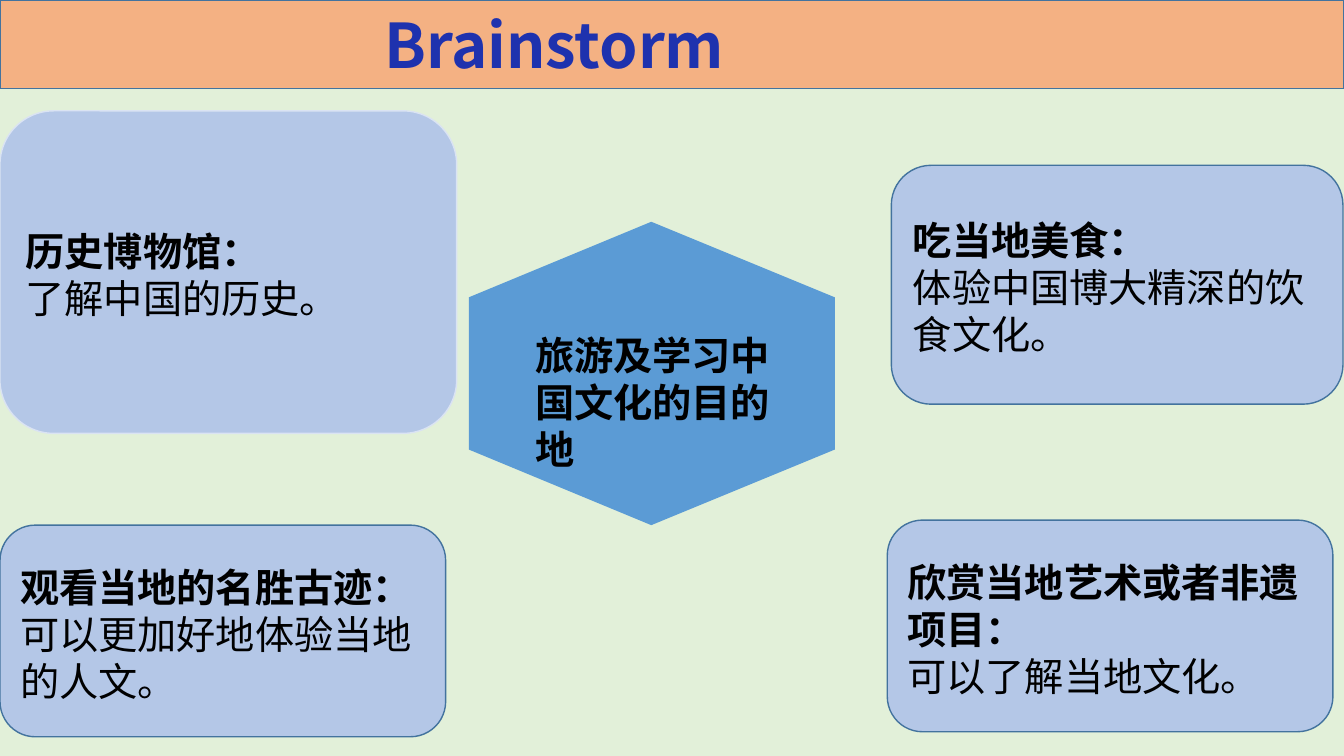
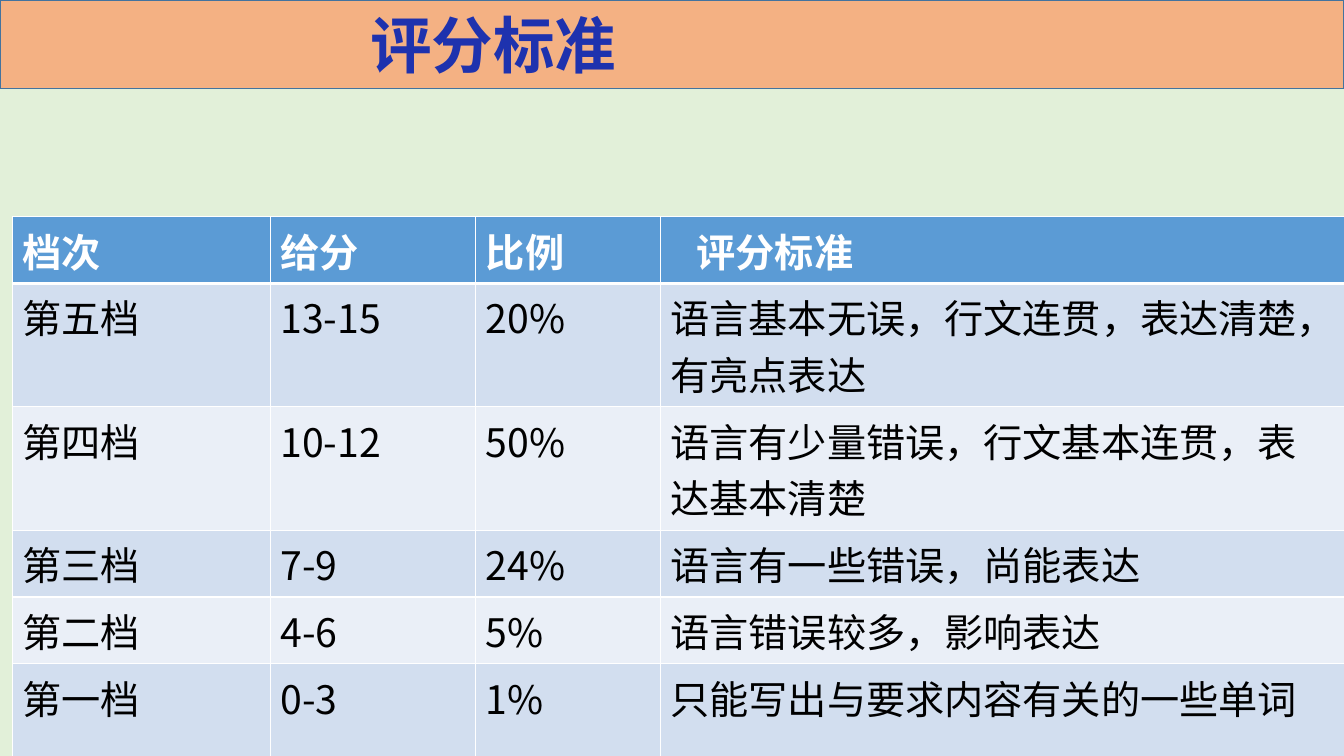
from dataclasses import dataclass

from lxml import etree
from pptx import Presentation
from pptx import util as u
from pptx.dml.color import RGBColor
from pptx.enum import shapes, text
from pptx.oxml import ns

PX = 9144
WIDE, HIGH = 1333, 750


@dataclass(frozen=True)
class Theme:
    """Colours, font and type sizes of the deck."""
    back: str = "E2F0D9"
    band: str = "F4B183"
    edge: str = "43739E"
    pale: str = "DAE3F3"
    card: str = "B4C7E7"
    blue: str = "5B9BD5"
    odd: str = "D2DEEF"
    even: str = "EAEFF7"
    title: str = "1E32AE"
    ink: str = "000000"
    white: str = "FFFFFF"
    face: str = "Noto Sans CJK SC"
    head: float = 44
    body: float = 28
    lead: float = 33.6


T = Theme()


def place(box):
    """Turn a px box into EMU lengths."""
    return [n * PX for n in box]


def paint(shape, fill, line=None):
    """Give a shape a flat fill and an optional thin outline."""
    shape.fill.solid()
    shape.fill.fore_color.rgb = RGBColor.from_string(fill)
    if line:
        shape.line.color.rgb = RGBColor.from_string(line)
        shape.line.width = u.Pt(1)
    else:
        shape.line.fill.background()


def style(para, size, color, bold):
    """Left-align a paragraph and format its runs."""
    para.alignment = text.PP_ALIGN.LEFT
    for run in para.runs:
        font = run.font
        font.size, font.bold, font.name = u.Pt(size), bold, T.face
        font.color.rgb = RGBColor.from_string(color)
        etree.SubElement(font._element, ns.qn("a:ea"), typeface=T.face)


def write(frame, words):
    """Write a bold first line and plain lines below it."""
    frame.word_wrap = True
    frame.margin_top = 10 * PX
    frame.text = words
    for i, para in enumerate(frame.paragraphs):
        style(para, T.body, T.ink, i == 0)
        para.line_spacing = u.Pt(T.lead)


def start(prs, words, inset):
    """Add a slide with the title band, its text starting at inset."""
    slide = prs.slides.add_slide(prs.slide_layouts[5])
    band = slide.shapes.title
    band.left, band.top, band.width, band.height = place((0, 0, WIDE, 88))
    paint(band, T.band, T.edge)
    frame = band.text_frame
    frame.text = words
    frame.auto_size = text.MSO_AUTO_SIZE.NONE
    frame.vertical_anchor = text.MSO_ANCHOR.MIDDLE
    frame.margin_left, frame.margin_right = inset * PX, 8 * PX
    frame.margin_top = frame.margin_bottom = 4 * PX
    style(frame.paragraphs[0], T.head, T.title, True)
    return slide


def hub(slide, box, words):
    """Draw an upright hexagon with its topic inside."""
    x, y, w, h = box
    mid, low, top = w // 2, h // 4, h - h // 4
    pen = slide.shapes.build_freeform(x, y + low, scale=PX)
    pen.add_line_segments([(x + mid, y), (x + w, y + low), (x + w, y + top),
                           (x + mid, y + h), (x, y + top)], close=True)
    form = pen.convert_to_shape()
    form.shadow.inherit = False
    paint(form, T.blue)
    label = slide.shapes.add_textbox(*place((x + 56, y + 99, 280, 111)))
    write(label.text_frame, words)


def card(slide, box, words, line=T.edge):
    """Draw a rounded idea card."""
    shape = slide.shapes.add_shape(
        shapes.MSO_SHAPE.ROUNDED_RECTANGLE, *place(box))
    shape.shadow.inherit = False
    paint(shape, T.card, line)
    shape.text_frame.vertical_anchor = text.MSO_ANCHOR.MIDDLE
    write(shape.text_frame, words)


def rule(cell, base):
    """Draw white borders round a cell, the lower one base points wide."""
    props = cell._tc.get_or_add_tcPr()
    for side, size in (("L", 1), ("R", 1), ("T", 1), ("B", base)):
        line = etree.SubElement(props, ns.qn("a:ln" + side), w=str(u.Pt(size)))
        fill = etree.SubElement(line, ns.qn("a:solidFill"))
        etree.SubElement(fill, ns.qn("a:srgbClr"), val=T.white)


def grid(slide, box, cols, tall, rows):
    """Draw a banded table with a heading row."""
    table = slide.shapes.add_table(len(rows), len(cols), *place(box)).table
    for col, size in zip(table.columns, cols):
        col.width = size * PX
    for i, row in enumerate(rows):
        table.rows[i].height = tall[i] * PX
        top = i == 0
        fill = T.blue if top else T.odd if i % 2 else T.even
        for j, words in enumerate(row):
            cell = table.cell(i, j)
            rule(cell, 3 if top else 1)
            cell.fill.solid()
            cell.fill.fore_color.rgb = RGBColor.from_string(fill)
            cell.text_frame.text = words
            style(cell.text_frame.paragraphs[0], T.body,
                  T.white if top else T.ink, top)
    table.cell(0, len(cols) - 1).margin_left = 36 * PX


def ideas(prs):
    """Build the brainstorm slide."""
    slide = start(prs, "Brainstorm", 381)
    hub(slide, (465, 220, 363, 301), "旅游及学习中国文化的目的地")
    card(slide, (0, 110, 453, 320), "历史博物馆：\n了解中国的历史。", T.pale)
    card(slide, (884, 164, 448, 237),
         "吃当地美食：\n体验中国博大精深的饮食文化。")
    card(slide, (0, 521, 442, 210),
         "观看当地的名胜古迹：\n可以更加好地体验当地的人文。")
    card(slide, (880, 516, 442, 210),
         "欣赏当地艺术或者非遗项目：\n可以了解当地文化。")


def marks(prs):
    """Build the marking scale slide."""
    slide = start(prs, "评分标准", 367)
    grid(slide, (12, 215, 1322, 515), (256, 204, 183, 679),
         (61, 111, 111, 61, 61, 111), (
        ("档次", "给分", "比例", "评分标准"),
        ("第五档", "13-15", "20%",
         "语言基本无误，行文连贯，表达清楚，有亮点表达"),
        ("第四档", "10-12", "50%",
         "语言有少量错误，行文基本连贯，表达基本清楚"),
        ("第三档", "7-9", "24%", "语言有一些错误，尚能表达"),
        ("第二档", "4-6", "5%", "语言错误较多，影响表达"),
        ("第一档", "0-3", "1%", "只能写出与要求内容有关的一些单词"),
    ))


def main():
    """Build and save the deck."""
    prs = Presentation()
    prs.slide_width, prs.slide_height = WIDE * PX, HIGH * PX
    back = prs.slide_master.background.fill
    back.solid()
    back.fore_color.rgb = RGBColor.from_string(T.back)
    ideas(prs)
    marks(prs)
    prs.save("out.pptx")


if __name__ == "__main__":
    main()
